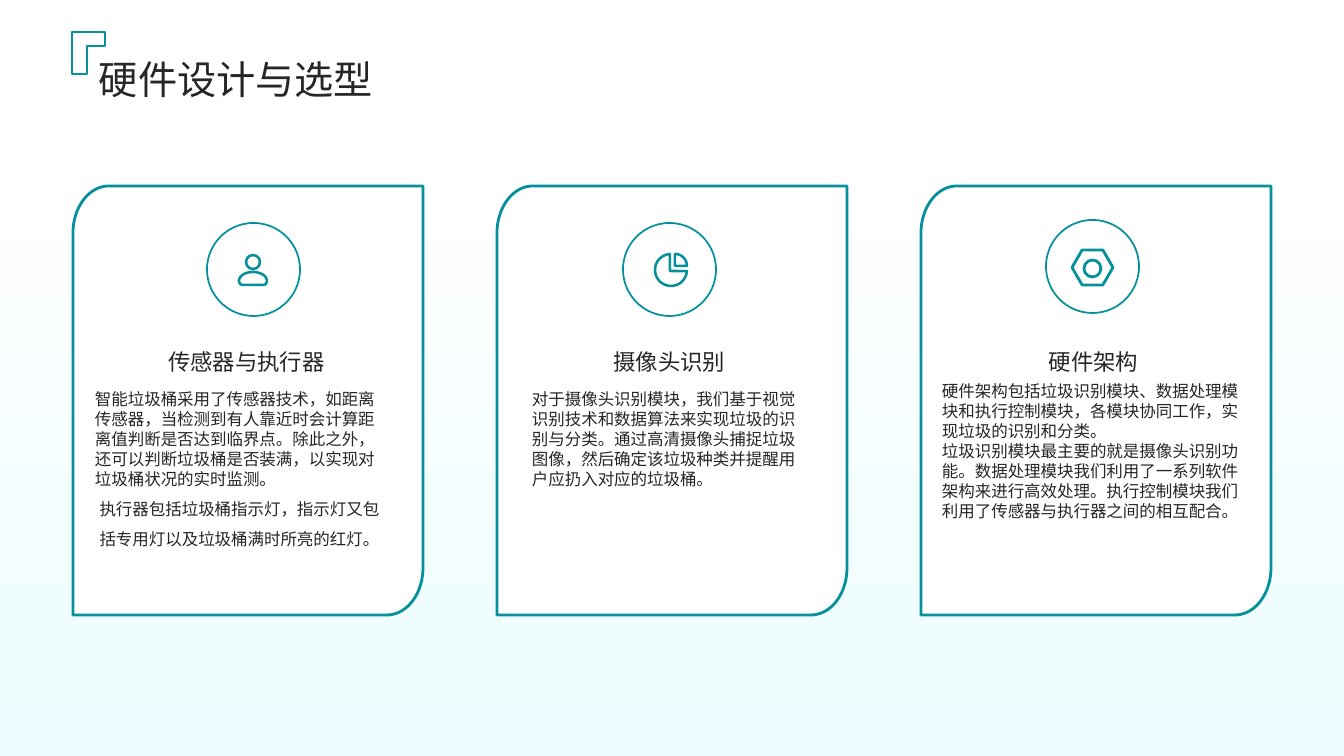
"""Build the hardware design slide with three outlined cards."""
from math import cos, radians, sin

from lxml import etree
from pptx import Presentation
from pptx import util as u
from pptx.dml.color import RGBColor
from pptx.enum import shapes, text
from pptx.oxml.ns import qn

PX = 12192000 / 1344
TEAL = RGBColor(0x05, 0x90, 0x9B)
INK = RGBColor(0x26, 0x26, 0x26)
WHITE = RGBColor(0xFF, 0xFF, 0xFF)
MIST = RGBColor(0xEB, 0xFD, 0xFE)
FONT = "Noto Sans CJK SC"
LEFT, CENTER = text.PP_ALIGN.LEFT, text.PP_ALIGN.CENTER
TOP, MIDDLE, BOTTOM = text.MSO_ANCHOR.TOP, text.MSO_ANCHOR.MIDDLE, text.MSO_ANCHOR.BOTTOM
OVAL, HEXAGON = shapes.MSO_SHAPE.OVAL, shapes.MSO_SHAPE.HEXAGON
CARD_LEFT, CARD_TOP, CARD_WIDTH, CARD_HEIGHT, CARD_STEP = 73, 186, 350, 429, 424
CORNER_X, CORNER_Y = 36, 47


def arc(center_x, center_y, radius_x, radius_y, start, end):
    """Points along an elliptical arc, in degrees clockwise from the right."""
    angles = [radians(start + (end - start) * step / 24) for step in range(25)]
    return [(center_x + radius_x * cos(a), center_y + radius_y * sin(a)) for a in angles]


def style(shape, width, fill=None):
    """Give a shape a teal outline and an optional fill."""
    shape.shadow.inherit = False
    shape.line.color.rgb = TEAL
    shape.line.width = u.Pt(width)
    if fill is None:
        shape.fill.background()
    else:
        shape.fill.solid()
        shape.fill.fore_color.rgb = fill


presentation = Presentation()
presentation.slide_width = u.Emu(round(1344 * PX))
presentation.slide_height = u.Emu(round(756 * PX))
slide = presentation.slides.add_slide(presentation.slide_layouts[6])

backdrop = slide.shapes.add_shape(
    shapes.MSO_SHAPE.RECTANGLE, 0, 0, presentation.slide_width, presentation.slide_height)
backdrop.shadow.inherit = False
backdrop.line.fill.background()
backdrop.fill.gradient()
backdrop.fill.gradient_angle = 270
for stop, position, color in zip(backdrop.fill.gradient_stops, (0.24, 1), (WHITE, MIST)):
    stop.position = position
    stop.color.rgb = color

outlines = []
for card in range(3):
    left = CARD_LEFT + card * CARD_STEP
    right, bottom = left + CARD_WIDTH, CARD_TOP + CARD_HEIGHT
    points = arc(left + CORNER_X, CARD_TOP + CORNER_Y, CORNER_X, CORNER_Y, 180, 270)
    points += [(right, CARD_TOP)]
    points += arc(right - CORNER_X, bottom - CORNER_Y, CORNER_X, CORNER_Y, 0, 90)
    points += [(left, bottom)]
    outlines.append((points, 2, WHITE))
outlines += [
    (arc(253, 281, 14, 9, 180, 360) + [(266, 284), (264, 285), (242, 285), (240, 284)], 1.8, None),
    ([(670, 271)] + arc(671, 270, 16, 16, 266, 4), 1.8, None),
    ([(675, 266)] + arc(675, 266, 12, 12, 270, 360), 1.8, None),
    ([(72, 32), (105, 32), (105, 46), (87, 46), (87, 74), (72, 74)], 1, None),
]
for points, width, fill in outlines:
    scaled = [(x * PX, y * PX) for x, y in points]
    builder = slide.shapes.build_freeform(*scaled[0], scale=1)
    builder.add_line_segments(scaled[1:], close=True)
    style(builder.convert_to_shape(), width, fill)

for preset, left, top, width, height, line in [
    (OVAL, 207, 223, 93, 93, 1.25),
    (OVAL, 623, 223, 93, 93, 1.25),
    (OVAL, 1046, 220, 93, 93, 1.25),
    (OVAL, 246, 255, 14, 14, 1.8),
    (HEXAGON, 1072, 250, 41, 35, 2),
    (OVAL, 1084, 260, 17, 17, 2),
]:
    box = [round(length * PX) for length in (left, top, width, height)]
    shape = slide.shapes.add_shape(preset, *box)
    style(shape, line)
    if preset == HEXAGON:
        shape.adjustments[0] = 0.29

TIGHT, LOOSE = u.Pt(14.3), u.Pt(21.4)
TEXTS = [
    (99, 51, 1198, 51, MIDDLE, 28, [("硬件设计与选型", LEFT, 1.1)]),
    (109, 325, 275, 50, BOTTOM, 16, [("传感器与执行器", CENTER, 1.3)]),
    (532, 325, 275, 50, BOTTOM, 16, [("摄像头识别", CENTER, 1.3)]),
    (956, 325, 275, 50, BOTTOM, 16, [("硬件架构", CENTER, 1.3)]),
    (95, 389, 289, 174, TOP, 11.8, [
        ("智能垃圾桶采用了传感器技术，如距离传感器，当检测到有人靠近时会计算距离值判断是否达到临界点。"
         "除此之外，还可以判断垃圾桶是否装满，以实现对垃圾桶状况的实时监测。", LEFT, TIGHT),
        ("执行器包括垃圾桶指示灯，指示灯又包括专用灯以及垃圾桶满时所亮的红灯。", CENTER, LOOSE)]),
    (532, 389, 275, 174, TOP, 11.8, [
        ("对于摄像头识别模块，我们基于视觉识别技术和数据算法来实现垃圾的识别与分类。"
         "通过高清摄像头捕捉垃圾图像，然后确定该垃圾种类并提醒用户应扔入对应的垃圾桶。", LEFT, TIGHT)]),
    (942, 381, 305, 174, TOP, 11.8, [
        ("硬件架构包括垃圾识别模块、数据处理模块和执行控制模块，各模块协同工作，"
         "实现垃圾的识别和分类。", LEFT, TIGHT),
        ("垃圾识别模块最主要的就是摄像头识别功能。数据处理模块我们利用了一系列软件架构来进行高效处理。"
         "执行控制模块我们利用了传感器与执行器之间的相互配合。", LEFT, TIGHT)]),
]
for left, top, width, height, anchor, size, paragraphs in TEXTS:
    box = [round(length * PX) for length in (left, top, width, height)]
    frame = slide.shapes.add_textbox(*box).text_frame
    frame_format = {"word_wrap": True, "vertical_anchor": anchor, "margin_left": 0,
                    "margin_right": 0, "margin_top": 0, "margin_bottom": 0}
    for name, value in frame_format.items():
        setattr(frame, name, value)
    for index, (words, alignment, spacing) in enumerate(paragraphs):
        paragraph = frame.add_paragraph() if index else frame.paragraphs[0]
        for name, value in {"alignment": alignment, "line_spacing": spacing}.items():
            setattr(paragraph, name, value)
        run = paragraph.add_run()
        run.text = words
        for name, value in {"size": u.Pt(size), "name": FONT}.items():
            setattr(run.font, name, value)
        run.font.color.rgb = INK
        etree.SubElement(run.font._element, qn("a:ea"), typeface=FONT)

presentation.save("out.pptx")
